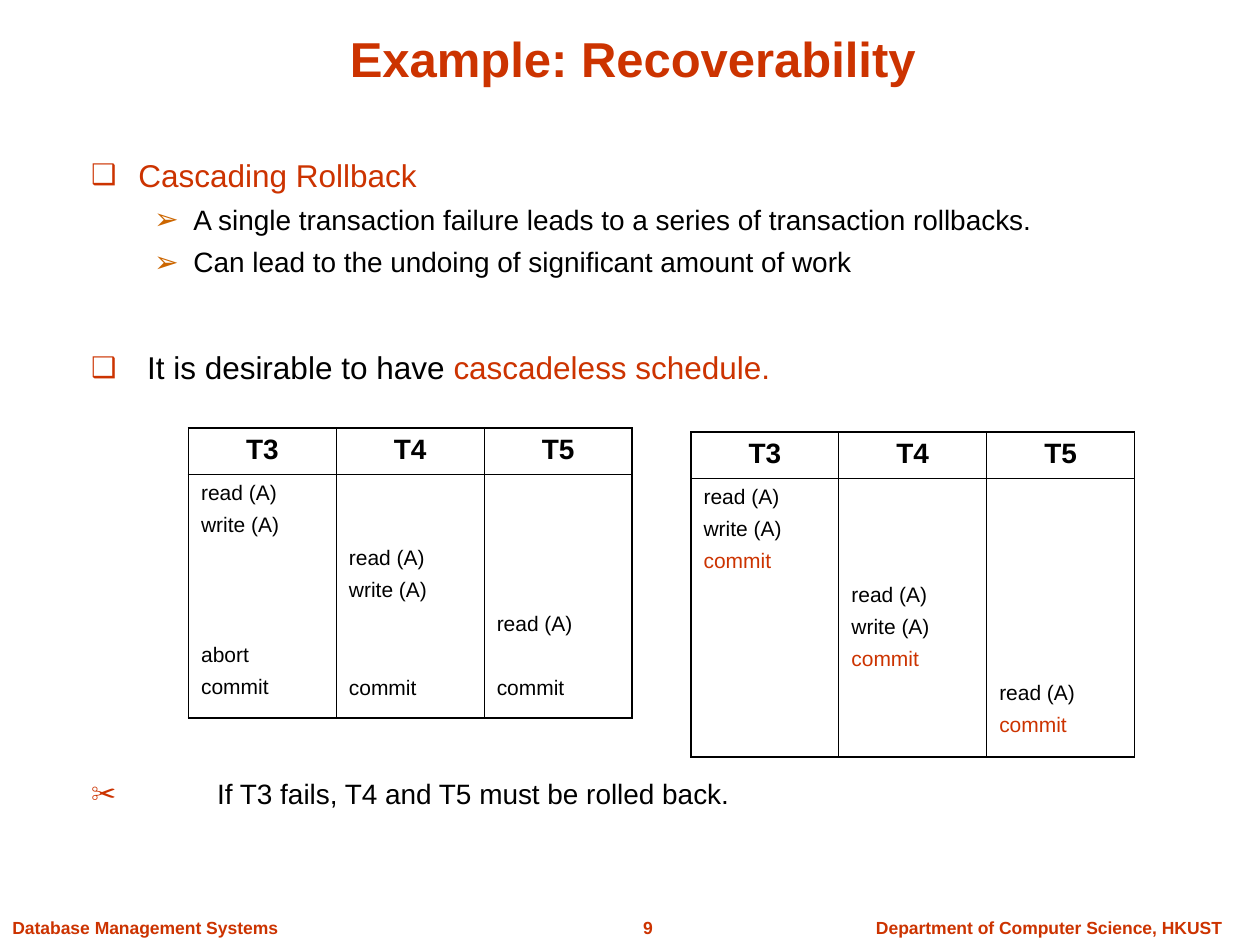
"""Builds the slide on recoverability and cascading rollback."""
from lxml import etree
from pptx import Presentation
from pptx.dml.color import RGBColor
from pptx.enum.text import MSO_ANCHOR, PP_ALIGN
from pptx.oxml.ns import qn
from pptx.util import Cm, Pt

RED = RGBColor(0xCC, 0x33, 0x00)
ORANGE = RGBColor(0xCC, 0x66, 0x00)
BLACK = RGBColor(0, 0, 0)
CENTER, LEFT = PP_ALIGN.CENTER, PP_ALIGN.LEFT
TOP, BOTTOM = MSO_ANCHOR.TOP, MSO_ANCHOR.BOTTOM

FONT = "Arial"
THIN, THICK = Pt(0.45), Pt(1.08)
COLUMN_WIDTH, HEADER_HEIGHT = Cm(2.98), Cm(0.94)
CELL_MARGIN = Cm(0.13)
STEP_GAP, STEP_PITCH = 4.9, 18.7
MAIN, SUB = (0.95, -0.95), (2.06, -0.79)

FOOTERS = [
    ("Database Management Systems", 0, 7.5, LEFT),
    ("9", 11.96, 2.21, CENTER),
    ("Department of Computer Science, HKUST", 16.79, 8.71, CENTER),
]
POINTS = [
    ([("Cascading Rollback", RED)], 18, 0, "❑", RED, 90, MAIN),
    ([("A single transaction failure leads to a series of transaction rollbacks.", BLACK)],
     16, 7, "➢", ORANGE, 105, SUB),
    ([("Can lead to the undoing of significant amount of work", BLACK)],
     16, 7, "➢", ORANGE, 105, SUB),
    ([(" It is desirable to have ", BLACK), ("cascadeless schedule.", RED)],
     18, 42, "❑", RED, 90, MAIN),
    ([("\tIf T3 fails, T4 and T5 must be rolled back.", BLACK)], 16, 225, "✂", RED, 90, MAIN),
]
CASCADING = {
    "T3": [(0, "read (A)"), (1, "write (A)"), (5, "abort"), (6, "commit")],
    "T4": [(2, "read (A)"), (3, "write (A)"), (6, "commit")],
    "T5": [(4, "read (A)"), (6, "commit")],
}
CASCADELESS = {
    "T3": [(0, "read (A)"), (1, "write (A)"), (2, "commit")],
    "T4": [(3, "read (A)"), (4, "write (A)"), (5, "commit")],
    "T5": [(6, "read (A)"), (7, "commit")],
}


def format_font(font, size, color, bold=False):
    """Set the typeface, size, colour and weight of a font."""
    font.name, font.size, font.bold = FONT, Pt(size), bold
    font.color.rgb = color


def add_text_box(slide, left, top, width, height, anchor=TOP):
    """Add a wrapping text box and return its text frame."""
    shape = slide.shapes.add_textbox(Cm(left), Cm(top), Cm(width), Cm(height))
    text_frame = shape.text_frame
    text_frame.word_wrap = True
    text_frame.vertical_anchor = anchor
    return text_frame


def add_label(slide, text, box, size, alignment, anchor=TOP):
    """Add one line of bold red text."""
    text_frame = add_text_box(slide, *box, anchor)
    text_frame.text = text
    paragraph = text_frame.paragraphs[0]
    paragraph.alignment = alignment
    format_font(paragraph.runs[0].font, size, RED, bold=True)


def set_bullet(paragraph, character, color, percent, indent):
    """Give a paragraph a coloured bullet, a hanging indent and a tab stop."""
    properties = paragraph._p.get_or_add_pPr()
    margin, hanging = indent
    properties.set("marL", str(Cm(margin)))
    properties.set("indent", str(Cm(hanging)))
    bullet_color = etree.SubElement(properties, qn("a:buClr"))
    etree.SubElement(bullet_color, qn("a:srgbClr"), val=str(color))
    etree.SubElement(properties, qn("a:buSzPct"), val=str(percent * 1000))
    etree.SubElement(properties, qn("a:buFont"), typeface=FONT)
    etree.SubElement(properties, qn("a:buChar"), char=character)
    tabs = etree.SubElement(properties, qn("a:tabLst"))
    etree.SubElement(tabs, qn("a:tab"), pos=str(Cm(2.54)), algn="l")


def add_points(slide):
    """Add the bulleted statements around the schedules."""
    text_frame = add_text_box(slide, 1.59, 3.1, 21.8, 14.66)
    for index, (parts, size, gap, character, color, percent, indent) in enumerate(POINTS):
        paragraph = text_frame.add_paragraph() if index else text_frame.paragraphs[0]
        set_bullet(paragraph, character, color, percent, indent)
        paragraph.line_spacing = 0.9
        paragraph.space_before = Pt(gap)
        for text, text_color in parts:
            run = paragraph.add_run()
            run.text = text
            format_font(run.font, size, text_color)


def set_borders(cell, widths):
    """Draw the left, right, top and bottom borders of a cell in black."""
    properties = cell._tc.get_or_add_tcPr()
    for side, width in zip("LRTB", widths):
        line = etree.SubElement(properties, qn(f"a:ln{side}"), w=str(width))
        fill = etree.SubElement(line, qn("a:solidFill"))
        etree.SubElement(fill, qn("a:srgbClr"), val=str(BLACK))
    cell.fill.background()


def fill_steps(cell, steps, commit_color):
    """Write the operations of one transaction at their time slots."""
    cell.margin_top = CELL_MARGIN + Pt(steps[0][0] * STEP_PITCH)
    cell.text_frame.text = "\n".join(text for _, text in steps)
    previous = None
    for paragraph, (slot, text) in zip(cell.text_frame.paragraphs, steps):
        if previous is not None:
            paragraph.space_before = Pt(STEP_GAP + (slot - previous - 1) * STEP_PITCH)
        color = commit_color if text == "commit" else BLACK
        format_font(paragraph.runs[0].font, 12, color)
        previous = slot


def add_schedule(slide, left, top, body_height, schedule, commit_color):
    """Add a table with one column for each transaction."""
    count = len(schedule)
    frame = slide.shapes.add_table(2, count, Cm(left), Cm(top), COLUMN_WIDTH * count,
                                   HEADER_HEIGHT + Cm(body_height))
    table = frame.table
    table.first_row = table.horz_banding = False
    table.rows[0].height, table.rows[1].height = HEADER_HEIGHT, Cm(body_height)
    for index, (name, steps) in enumerate(schedule.items()):
        table.columns[index].width = COLUMN_WIDTH
        header, body = table.cell(0, index), table.cell(1, index)
        left_width = THIN if index else THICK
        right_width = THICK if index == count - 1 else THIN
        set_borders(header, (left_width, right_width, THICK, THIN))
        set_borders(body, (left_width, right_width, THIN, THICK))
        header.text_frame.text = name
        paragraph = header.text_frame.paragraphs[0]
        paragraph.alignment = CENTER
        format_font(paragraph.runs[0].font, 16, BLACK, bold=True)
        fill_steps(body, steps, commit_color)


def main():
    """Build and save the slide."""
    presentation = Presentation()
    presentation.slide_width, presentation.slide_height = Cm(25.4), Cm(19.05)
    slide = presentation.slides.add_slide(presentation.slide_layouts[6])
    for text, left, width, alignment in FOOTERS:
        add_label(slide, text, (left, 18.36, width, 0.69), 10, alignment)
    add_label(slide, "Example: Recoverability", (1.54, 0.18, 22.43, 1.7), 28, CENTER, BOTTOM)
    add_points(slide)
    add_schedule(slide, 3.8, 8.63, 4.9, CASCADING, BLACK)
    add_schedule(slide, 13.93, 8.71, 5.61, CASCADELESS, RED)
    presentation.save("out.pptx")


if __name__ == "__main__":
    main()
